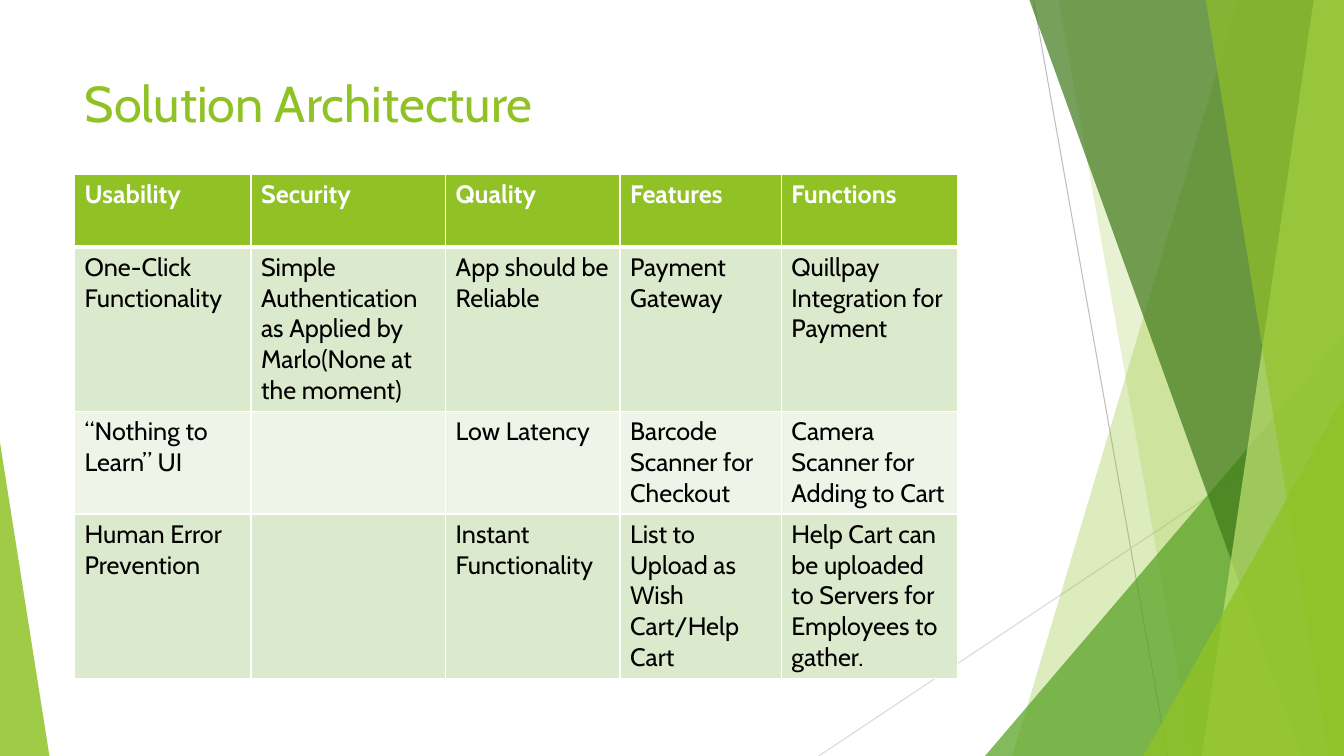
from lxml import etree
from pptx import Presentation
from pptx import util as u
from pptx.dml.color import RGBColor
from pptx.enum import shapes, text
from pptx.oxml import ns

FONT = "Cabin"
WIDTH, HEIGHT = 13.33, 7.5
COLORS = {
    "lime": "90C226", "green": "54A021", "forest": "3F7819", "pale": "C0E474",
    "band": "DBE9CD", "light": "EEF4E8", "white": "FFFFFF", "black": "000000",
    "line": "BFBFBF", "faint": "D9D9D9",
}

# Each panel runs to the right edge: top x, bottom x, colour, opacity in percent
BACK_PANELS = [(12.28, 10.04, "lime", 30), (10.5, 11.83, "lime", 20)]
FRONT_PANELS = [(10.21, 12.91, "forest", 70), (13.03, 11.92, "pale", 70),
                (11.96, 13.18, "lime", 65)]

COLUMN_WIDTHS = [1.75, 1.93, 1.73, 1.6, 1.75]
ROW_HEIGHTS = [0.72, 1.63, 1.02, 1.63]
ROWS = [
    ["Usability", "Security", "Quality", "Features", "Functions"],
    ["One-Click Functionality",
     "Simple Authentication as Applied by Marlo(None at the moment)",
     "App should be Reliable", "Payment Gateway",
     "Quillpay Integration for Payment"],
    ["“Nothing to Learn” UI", "", "Low Latency", "Barcode Scanner for Checkout",
     "Camera Scanner for Adding to Cart"],
    ["Human Error Prevention", "", "Instant Functionality",
     "List to Upload as Wish Cart/Help Cart",
     "Help Cart can be uploaded to Servers for Employees to gather."],
]


def rgb(name):
    return RGBColor.from_string(COLORS[name])


def style_text(paragraph, size, color, bold=False):
    for run in paragraph.runs:
        run.font.name = FONT
        run.font.size = u.Pt(size)
        run.font.bold = bold
        run.font.color.rgb = rgb(color)


def fill_translucent(shape, color, opacity):
    shape.shadow.inherit = False
    shape.line.fill.background()
    shape.fill.solid()
    shape.fill.fore_color.rgb = rgb(color)
    color_element = shape.fill._xPr.find(ns.qn("a:solidFill"))[0]
    etree.SubElement(color_element, ns.qn("a:alpha"), val=str(opacity * 1000))


def add_line(slide, start, end, color):
    points = [u.Inches(value) for value in (*start, *end)]
    line = slide.shapes.add_connector(shapes.MSO_CONNECTOR.STRAIGHT, *points)
    line.line.color.rgb = rgb(color)
    line.line.width = u.Pt(0.75)
    etree.SubElement(line._element.spPr, ns.qn("a:effectLst"))


def add_panel(slide, top_x, bottom_x, color, opacity):
    corners = [(top_x, 0), (WIDTH, 0), (WIDTH, HEIGHT), (bottom_x, HEIGHT)]
    points = [(u.Inches(x), u.Inches(y)) for x, y in corners]
    builder = slide.shapes.build_freeform(*points[0], scale=1.0)
    builder.add_line_segments(points[1:], close=True)
    fill_translucent(builder.convert_to_shape(), color, opacity)


def add_corner(slide, left, top, width, apex, color, opacity):
    """Add a right triangle that stands on the bottom edge of the slide."""
    triangle = slide.shapes.add_shape(
        shapes.MSO_SHAPE.ISOSCELES_TRIANGLE, u.Inches(left), u.Inches(top),
        u.Inches(width), u.Inches(HEIGHT - top))
    triangle.adjustments[0] = apex
    fill_translucent(triangle, color, opacity)


def add_decoration(slide):
    add_line(slide, (10.25, 0), (11.58, HEIGHT), "line")
    add_line(slide, (WIDTH, 4.03), (8.12, HEIGHT), "faint")
    for panel in BACK_PANELS:
        add_panel(slide, *panel)
    add_corner(slide, 9.77, 3.33, 3.56, 1, "green", 72)
    for panel in FRONT_PANELS:
        add_panel(slide, *panel)
    add_corner(slide, 11.34, 3.93, 1.99, 1, "lime", 80)
    add_corner(slide, 0, 4.39, 0.49, 0, "lime", 85)


def set_title(slide, wording):
    title = slide.shapes.title
    title.left, title.top = u.Inches(0.74), u.Inches(0.67)
    title.width, title.height = u.Inches(9.4), u.Inches(1.44)
    frame = title.text_frame
    frame.text = wording
    frame.vertical_anchor = text.MSO_ANCHOR.TOP
    frame.auto_size = text.MSO_AUTO_SIZE.NONE
    frame.paragraphs[0].alignment = text.PP_ALIGN.LEFT
    style_text(frame.paragraphs[0], 36, "lime")


def set_borders(cell, top, bottom):
    properties = cell._tc.get_or_add_tcPr()
    for side, width in (("L", 1), ("R", 1), ("T", top), ("B", bottom)):
        border = etree.SubElement(properties, ns.qn(f"a:ln{side}"),
                                  w=str(u.Pt(width)))
        fill = etree.SubElement(border, ns.qn("a:solidFill"))
        etree.SubElement(fill, ns.qn("a:srgbClr"), val=COLORS["white"])


def format_cell(cell, wording, row):
    header = row == 0
    # A thick rule separates the header from the first body row
    set_borders(cell, top=3 if row == 1 else 1, bottom=3 if header else 1)
    cell.fill.solid()
    cell.fill.fore_color.rgb = rgb(
        "lime" if header else "band" if row % 2 else "light")
    cell.text_frame.text = wording
    paragraph = cell.text_frame.paragraphs[0]
    paragraph.font.size = u.Pt(18)
    style_text(paragraph, 18, "white" if header else "black", header)


def add_architecture_table(slide):
    table = slide.shapes.add_table(
        len(ROWS), len(COLUMN_WIDTHS), u.Inches(0.74), u.Inches(1.73),
        u.Inches(sum(COLUMN_WIDTHS)), u.Inches(sum(ROW_HEIGHTS))).table
    for column, width in zip(table.columns, COLUMN_WIDTHS):
        column.width = u.Inches(width)
    for row, height in zip(table.rows, ROW_HEIGHTS):
        row.height = u.Inches(height)
    for row, wordings in enumerate(ROWS):
        for column, wording in enumerate(wordings):
            format_cell(table.cell(row, column), wording, row)


def main():
    presentation = Presentation()
    presentation.slide_width = u.Inches(WIDTH)
    presentation.slide_height = u.Inches(HEIGHT)
    slide = presentation.slides.add_slide(presentation.slide_layouts[5])
    add_decoration(slide)
    set_title(slide, "Solution Architecture")
    add_architecture_table(slide)
    presentation.save("out.pptx")


if __name__ == "__main__":
    main()
